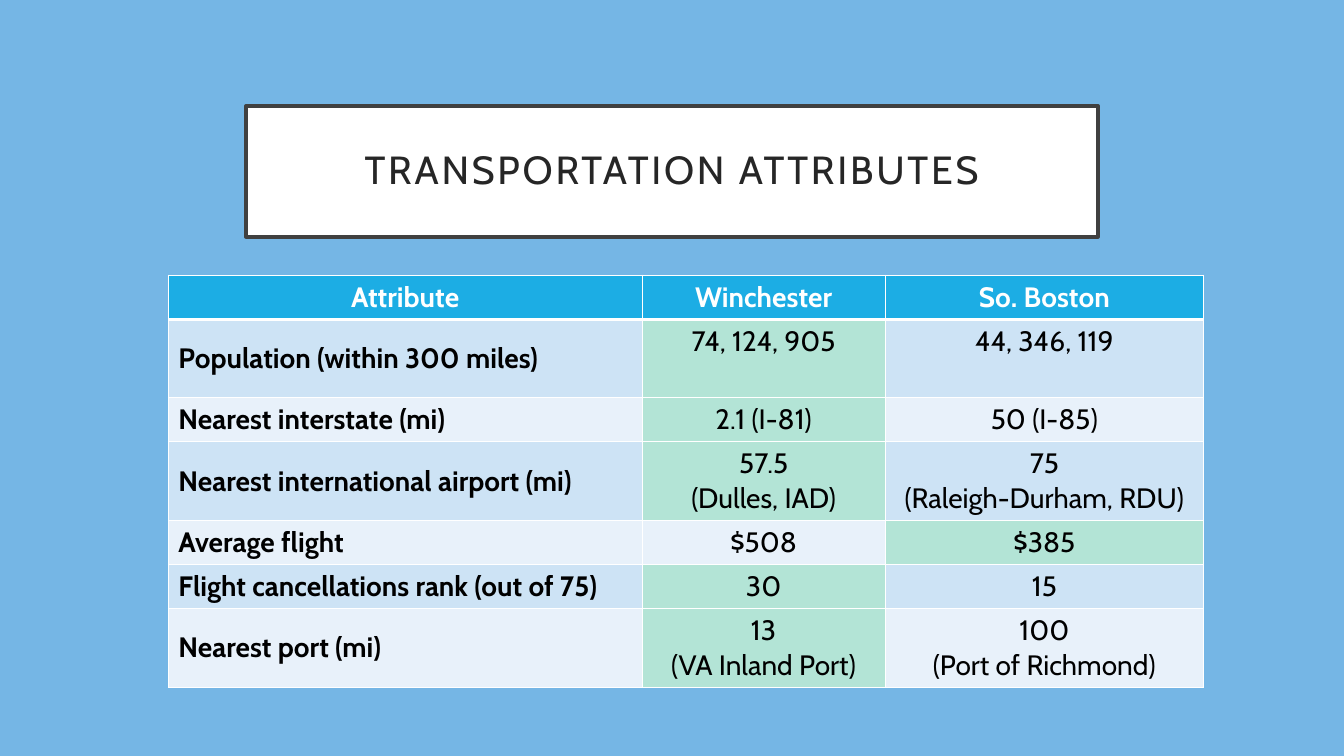
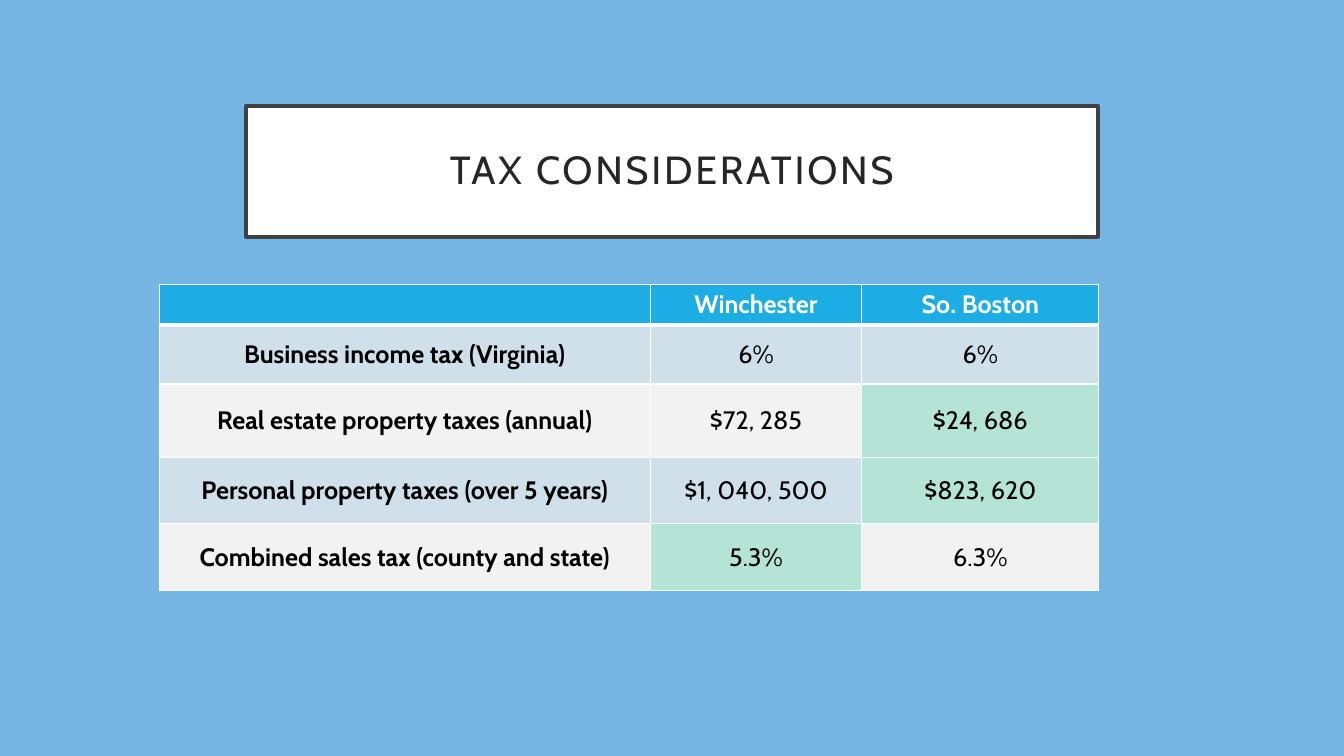
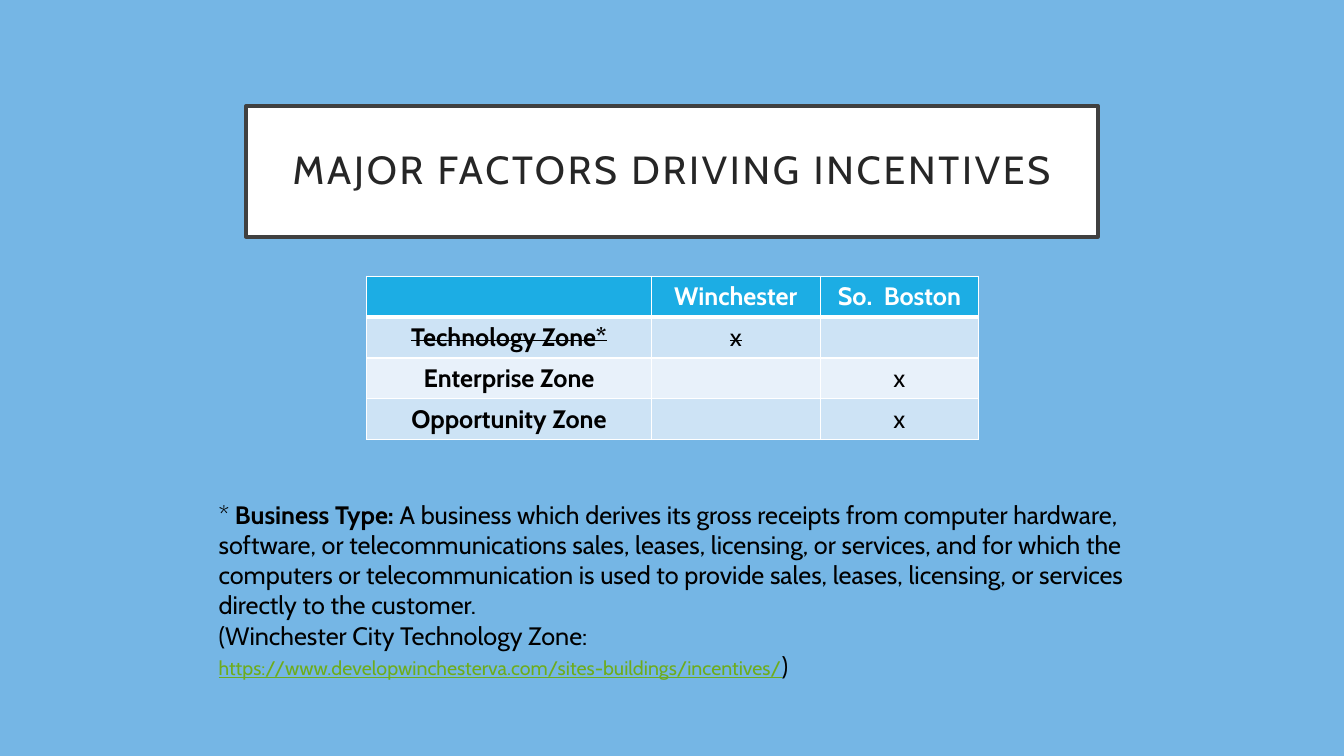
from lxml.etree import SubElement as Sub
from pptx import Presentation as Deck
from pptx.dml.color import RGBColor as Rgb
from pptx.enum.shapes import MSO_SHAPE as Kind
from pptx.enum.text import MSO_ANCHOR as Anchor, PP_ALIGN as Align
from pptx.oxml.ns import qn
from pptx.util import Inches, Pt

WIDE, HIGH = Inches(13.33), Inches(7.5)
FONT = "Cabin"
SKY, WHITE, BLACK = "75B6E5", "FFFFFF", "000000"
FRAME, INK, LINK = "404040", "262626", "6EAC1C"
HEAD, BEST = "1CADE4", "B3E4D6"
BLUES, GREYS = ("CDE3F5", "E8F1FA"), ("CFE0EA", "F2F2F2")


def across(share):
    return round(WIDE * share / 100)


def down(share):
    return round(HIGH * share / 100)


def place(left, top, width, height):
    return across(left), down(top), across(width), down(height)


def paint(fill, hue):
    fill.solid()
    fill.fore_color.rgb = Rgb.from_string(hue)


def write(para, text, size=18, hue=BLACK, bold=False, under=False,
          strike=False, track=0):
    run = para.add_run()
    run.text = text
    font = run.font
    font.name, font.size, font.bold = FONT, Pt(size), bold
    font.underline = under
    font.color.rgb = Rgb.from_string(hue)
    props = run._r.get_or_add_rPr()
    if strike:
        props.set("strike", "sngStrike")
    if track:
        props.set("spc", str(track * 100))


def edge(cell, **sides):
    props = cell._tc.get_or_add_tcPr()
    for side in "LRTB":
        line = Sub(props, qn("a:ln" + side), w=str(Pt(sides.get(side, 1))))
        Sub(Sub(line, qn("a:solidFill")), qn("a:srgbClr"), val=WHITE)


def page(deck, title):
    slide = deck.slides.add_slide(deck.slide_layouts[6])
    paint(slide.background.fill, SKY)
    box = slide.shapes.add_shape(Kind.RECTANGLE, *place(18.3, 14, 63.4, 17.33))
    box.shadow.inherit = False
    paint(box.fill, WHITE)
    paint(box.line.fill, FRAME)
    box.line.width = Pt(2.5)
    frame = box.text_frame
    frame.word_wrap = True
    frame.vertical_anchor = Anchor.MIDDLE
    frame.margin_left = frame.margin_right = Inches(0.2)
    frame.margin_top = frame.margin_bottom = Inches(0.2)
    para = frame.paragraphs[0]
    para.alignment, para.line_spacing = Align.CENTER, 0.9
    write(para, title, size=28, hue=INK, track=2)
    return slide


def grid(slide, left, top, cols, rows, data, bands=BLUES, best=(), size=18,
         label=Align.CENTER, anchor=Anchor.MIDDLE, struck=None):
    spot = place(left, top, sum(cols), sum(rows))
    table = slide.shapes.add_table(len(rows), len(cols), *spot).table
    table.first_row = table.horz_banding = False
    for col, share in zip(table.columns, cols):
        col.width = across(share)
    for row, share in zip(table.rows, rows):
        row.height = down(share)
    for r, line in enumerate(data):
        for c, text in enumerate(line):
            cell = table.cell(r, c)
            edge(cell, T=3 if r == 1 else 1, B=1 if r else 3)
            tint = BEST if (r, c) in best else bands[(r - 1) % 2]
            paint(cell.fill, tint if r else HEAD)
            cell.vertical_anchor = anchor if r and c else Anchor.MIDDLE
            frame = cell.text_frame
            for n, part in enumerate(text.split("\n") if text else ()):
                para = frame.add_paragraph() if n else frame.paragraphs[0]
                para.alignment = label if r and not c else Align.CENTER
                write(para, part, size=size, hue=BLACK if r else WHITE,
                      bold=not (r and c), strike=r == struck)


def note(slide, spot, lines):
    frame = slide.shapes.add_textbox(*place(*spot)).text_frame
    frame.word_wrap = True
    for n, runs in enumerate(lines):
        para = frame.add_paragraph() if n else frame.paragraphs[0]
        for text, form in runs:
            write(para, text, **form)


def main():
    deck = Deck()
    deck.slide_width, deck.slide_height = WIDE, HIGH

    low, tall = 5.82, 10.35
    grid(page(deck, "TRANSPORTATION ATTRIBUTES"), 12.53, 36.4,
         (35.25, 18.08, 23.7), (low, tall, low, tall, low, low, tall), (
        ("Attribute", "Winchester", "So. Boston"),
        ("Population (within 300 miles)", "74, 124, 905", "44, 346, 119"),
        ("Nearest interstate (mi)", "2.1 (I-81)", "50 (I-85)"),
        ("Nearest international airport (mi)", "57.5\n(Dulles, IAD)",
         "75\n(Raleigh-Durham, RDU)"),
        ("Average flight", "$508", "$385"),
        ("Flight cancellations rank (out of 75)", "30", "15"),
        ("Nearest port (mi)", "13\n(VA Inland Port)",
         "100\n(Port of Richmond)"),
    ), best={(1, 1), (2, 1), (3, 1), (4, 2), (5, 1), (6, 1)}, size=20,
        label=Align.LEFT, anchor=Anchor.TOP)

    grid(page(deck, "TAX CONSIDERATIONS"), 11.85, 37.6,
         (36.53, 15.75, 17.63), (5.4, 7.8, 9.7, 8.8, 8.8), (
        ("", "Winchester", "So. Boston"),
        ("Business income tax (Virginia)", "6%", "6%"),
        ("Real estate property taxes (annual)", "$72, 285", "$24, 686"),
        ("Personal property taxes (over 5 years)", "$1, 040, 500", "$823, 620"),
        ("Combined sales tax (county and state)", "5.3%", "6.3%"),
    ), bands=GREYS, best={(2, 2), (3, 2), (4, 1)})

    slide = page(deck, "MAJOR FACTORS DRIVING INCENTIVES")
    grid(slide, 27.3, 36.53, (21.15, 12.6, 11.75), (5.4,) * 4, (
        ("", "Winchester", "So.  Boston"),
        ("Technology Zone*", "x", ""),
        ("Enterprise Zone", "", "x"),
        ("Opportunity Zone", "", "x"),
    ), struck=1)
    note(slide, (15.53, 65.33, 69.75, 21.6), (
        (("* ", {}), ("Business Type:", {"bold": True}),
         (" A business which derives its gross receipts from computer "
          "hardware, software, or telecommunications sales, leases, "
          "licensing, or services, and for which the computers or "
          "telecommunication is used to provide sales, leases, licensing, "
          "or services directly to the customer.", {})),
        (("(Winchester City Technology Zone: ", {}),
         ("https://www.developwinchesterva.com/sites-buildings/incentives/",
          {"size": 14, "hue": LINK, "under": True}),
         (")", {})),
    ))

    deck.save("out.pptx")


if __name__ == "__main__":
    main()
